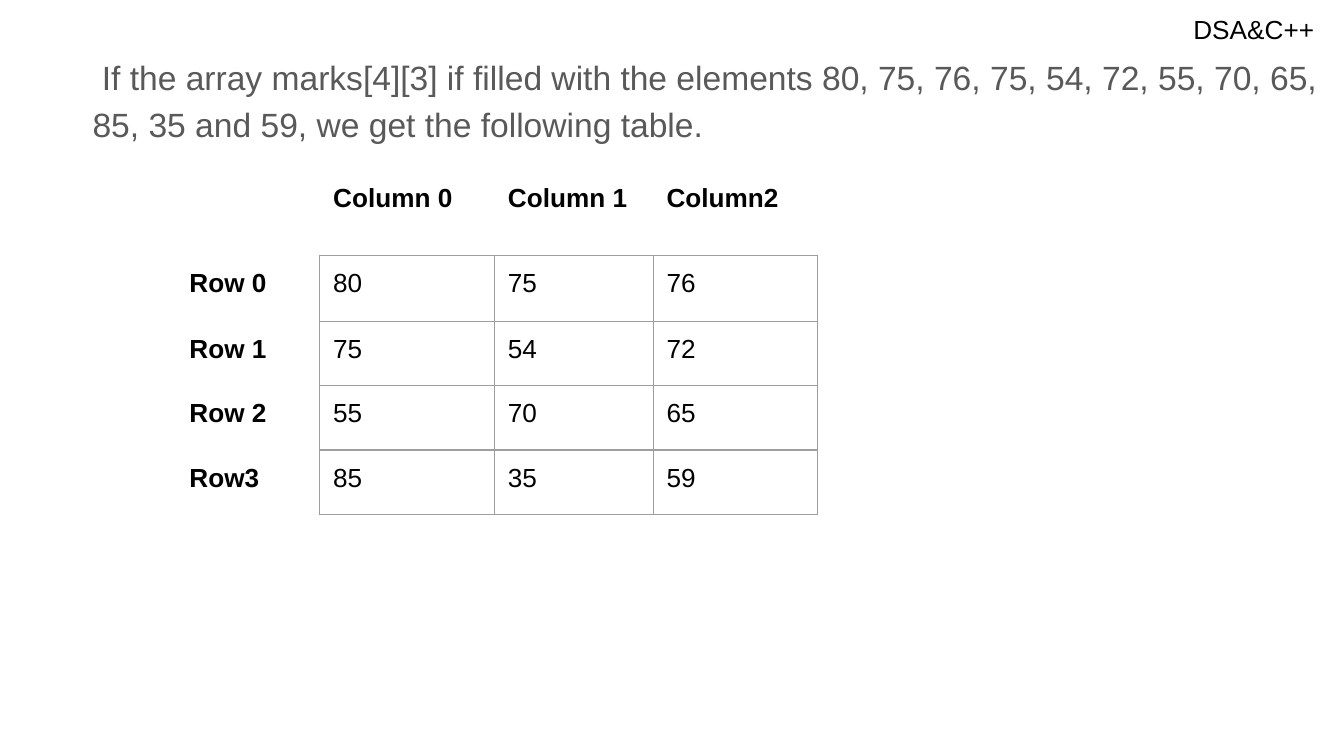
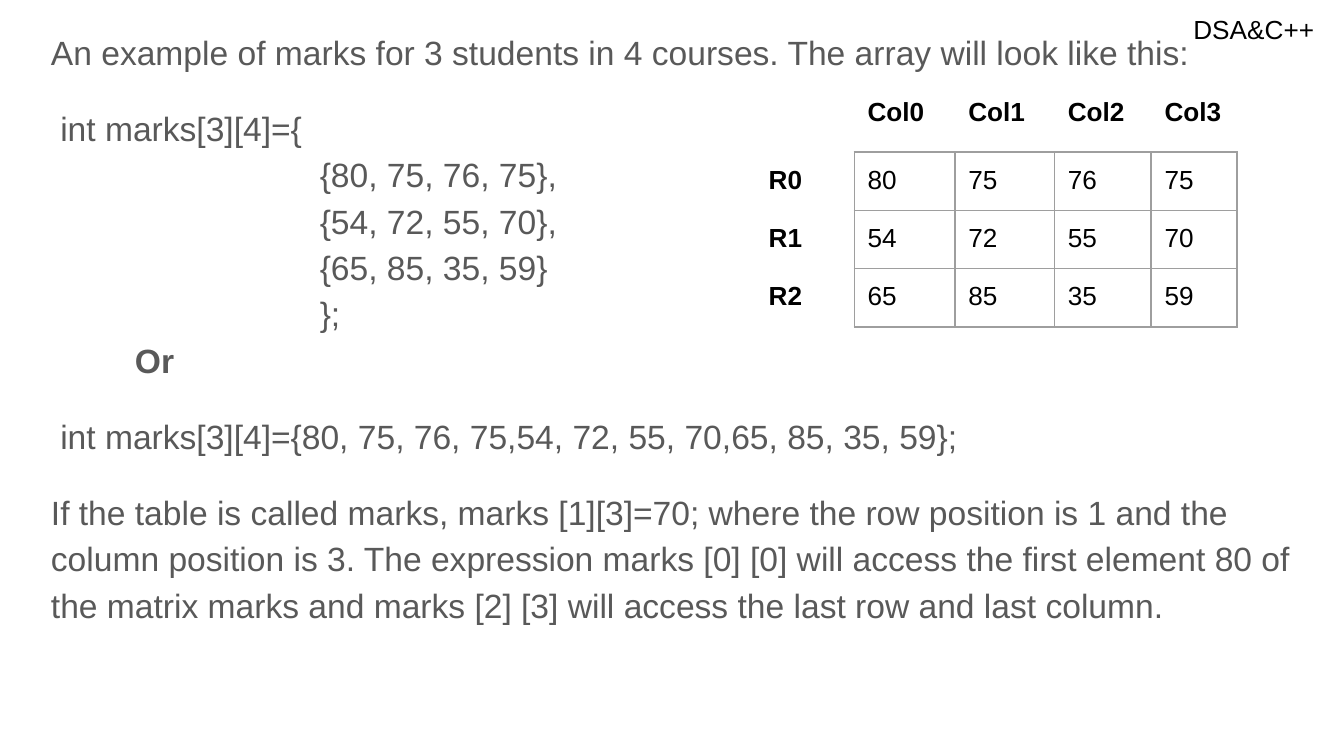
from dataclasses import dataclass

from lxml.etree import SubElement
from pptx import Presentation
from pptx.dml.color import RGBColor
from pptx.enum.text import MSO_ANCHOR
from pptx.oxml.ns import qn
from pptx.util import Pt


@dataclass(frozen=True)
class Theme:
    font: str = "Arial"
    background: str = "FFFFFF"
    body_color: str = "595959"
    label_color: str = "000000"
    grid_color: str = "9E9E9E"
    body_size: float = 18
    label_size: float = 14
    grid_width: float = 0.75
    inset: float = 7.2
    line_spacing: float = 1.15
    paragraph_gap: float = 16


@dataclass(frozen=True)
class Line:
    text: str
    gap: bool = False
    left: float = 0
    first: float = 0
    bold: bool = False


THEME = Theme()
BLANK_LAYOUT = 6


def style_font(para, size, color, bold=False):
    para.font.name = THEME.font
    para.font.size = Pt(size)
    para.font.bold = bold
    para.font.color.rgb = RGBColor.from_string(color)


def set_insets(target):
    target.margin_left = target.margin_right = Pt(THEME.inset)
    target.margin_top = target.margin_bottom = Pt(THEME.inset)


def add_text_frame(page, box):
    frame = page.shapes.add_textbox(*map(Pt, box)).text_frame
    frame.word_wrap = True
    frame.vertical_anchor = MSO_ANCHOR.TOP
    set_insets(frame)
    return frame


def add_page(deck):
    """Start a page with the shared background and course label."""
    page = deck.slides.add_slide(deck.slide_layouts[BLANK_LAYOUT])
    fill = page.background.fill
    fill.solid()
    fill.fore_color.rgb = RGBColor.from_string(THEME.background)
    para = add_text_frame(page, (632.2, 0, 82.8, 31)).paragraphs[0]
    para.text = "DSA&C++"
    style_font(para, THEME.label_size, THEME.label_color)
    return page


def add_body(page, box, lines):
    frame = add_text_frame(page, box)
    for index, line in enumerate(lines):
        para = frame.add_paragraph() if index else frame.paragraphs[0]
        para.text = line.text
        para.line_spacing = THEME.line_spacing
        para.space_before = Pt(THEME.paragraph_gap if line.gap else 0)
        properties = para._p.get_or_add_pPr()
        properties.set("marL", str(Pt(line.left)))
        properties.set("indent", str(Pt(line.first)))
        style_font(para, THEME.body_size, THEME.body_color, line.bold)


def set_borders(cell, visible):
    """Draw the named sides (L, R, T, B) and clear the others."""
    properties = cell._tc.get_or_add_tcPr()
    for position, side in enumerate("LRTB"):
        border = SubElement(properties, qn(f"a:ln{side}"))
        if side in visible:
            border.set("w", str(Pt(THEME.grid_width)))
            fill = SubElement(border, qn("a:solidFill"))
            SubElement(fill, qn("a:srgbClr")).set("val", THEME.grid_color)
        else:
            SubElement(border, qn("a:noFill"))
        properties.insert(position, border)


def visible_sides(row, column):
    """Only value cells are boxed; headers share the edge facing them."""
    if row and column:
        return "LRTB"
    if row:
        return "R"
    return "B" if column else ""


def add_matrix(page, left, top, widths, heights, column_names, row_names, values):
    rows = [["", *column_names]]
    rows += [[name, *numbers] for name, numbers in zip(row_names, values)]
    frame = page.shapes.add_table(len(rows), len(widths), Pt(left), Pt(top),
                                  Pt(sum(widths)), Pt(sum(heights)))
    table = frame.table
    table.first_row = table.horz_banding = False
    for column, width in zip(table.columns, widths):
        column.width = Pt(width)
    for row, height in zip(table.rows, heights):
        row.height = Pt(height)
    for r, row in enumerate(rows):
        for c, value in enumerate(row):
            cell = table.cell(r, c)
            set_insets(cell)
            cell.fill.background()
            set_borders(cell, visible_sides(r, c))
            if value != "":
                para = cell.text_frame.paragraphs[0]
                para.text = str(value)
                style_font(para, THEME.label_size, THEME.label_color,
                           bold=r == 0 or c == 0)


def build_filled_array(deck):
    page = add_page(deck)
    # Introduction
    add_body(page, (42.5, 20.2, 671, 367.2), [
        Line("If the array marks[4][3] if filled with the elements 80, 75, 76, 75, "
             "54, 72, 55, 70, 65, 85, 35 and 59, we get the following table.", first=5),
    ])
    # Marks by row and column
    add_matrix(page, 94.3, 91.4, [77, 93.6, 85, 88], [45.4, 35.3, 34.5, 34.5, 34.5],
               ["Column 0", "Column 1", "Column2"],
               ["Row 0", "Row 1", "Row 2", "Row3"],
               [[80, 75, 76], [75, 54, 72], [55, 70, 65], [85, 35, 59]])


def build_marks_example(deck):
    page = add_page(deck)
    marks = [[80, 75, 76, 75], [54, 72, 55, 70], [65, 85, 35, 59]]
    code = dict(left=108, first=36)
    # Declaration and explanation
    add_body(page, (20.2, 6.5, 690.5, 375.8), [
        Line("An example of marks for 3 students in 4 courses. "
             "The array will look like this:"),
        Line("int marks[3][4]={", gap=True, first=5),
        Line("{80, 75, 76, 75},", **code),
        Line("{54, 72, 55, 70},", **code),
        Line("{65, 85, 35, 59}", **code),
        Line("};", **code),
        Line("Or", first=45, bold=True),
        Line("int marks[3][4]={80, 75, 76, 75,54, 72, 55, 70,65, 85, 35, 59};",
             gap=True, first=5),
        Line("If the table is called marks, marks [1][3]=70; "
             "where the row position is 1 and the", gap=True),
        Line("column position is 3. The expression marks [0] [0] will access the first "
             "element 80 of the matrix marks and marks [2] [3] will access the last row "
             "and last column."),
    ])
    # Marks by student and course
    add_matrix(page, 404.6, 45.4, [53, 54, 53.3, 51.8, 46], [30.2, 30.2, 29.5, 29.5],
               [f"Col{index}" for index in range(4)],
               [f"R{index}" for index in range(3)], marks)


def main():
    deck = Presentation()
    deck.slide_width, deck.slide_height = Pt(720), Pt(405)
    build_filled_array(deck)
    build_marks_example(deck)
    deck.save("out.pptx")


if __name__ == "__main__":
    main()
